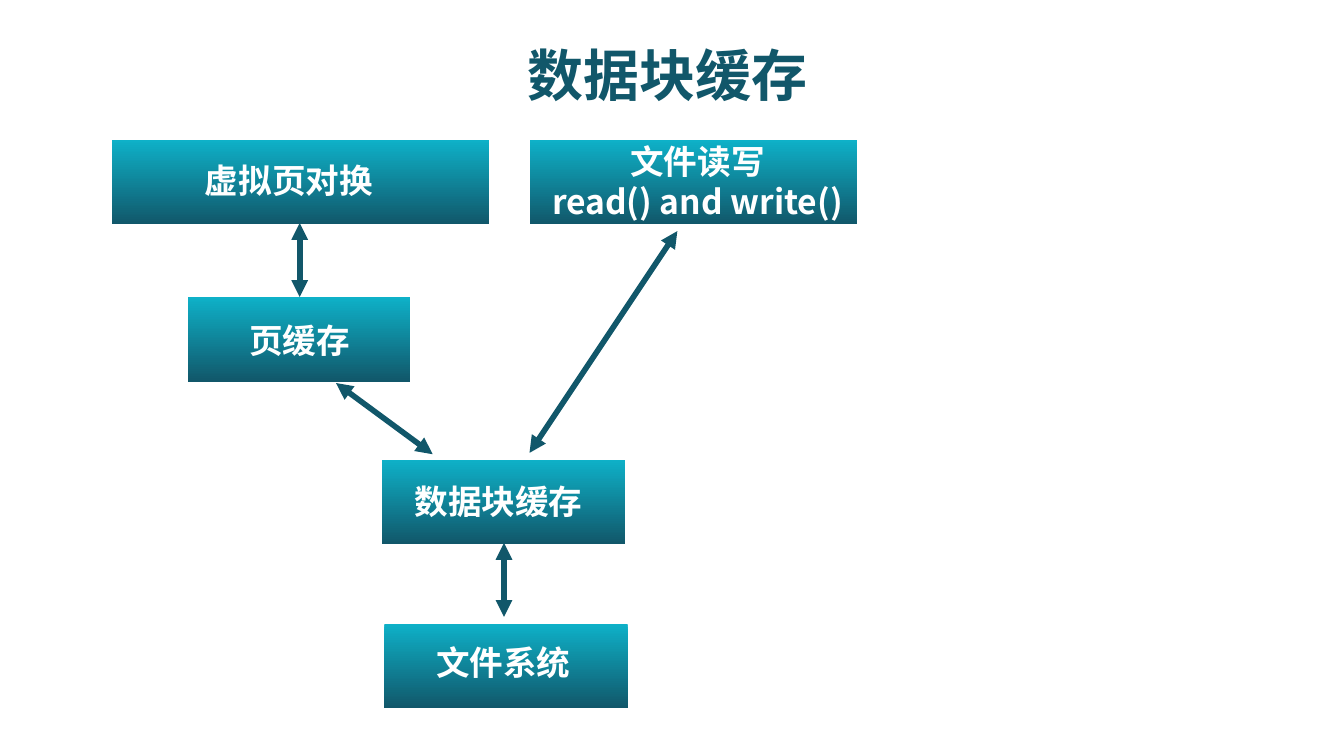
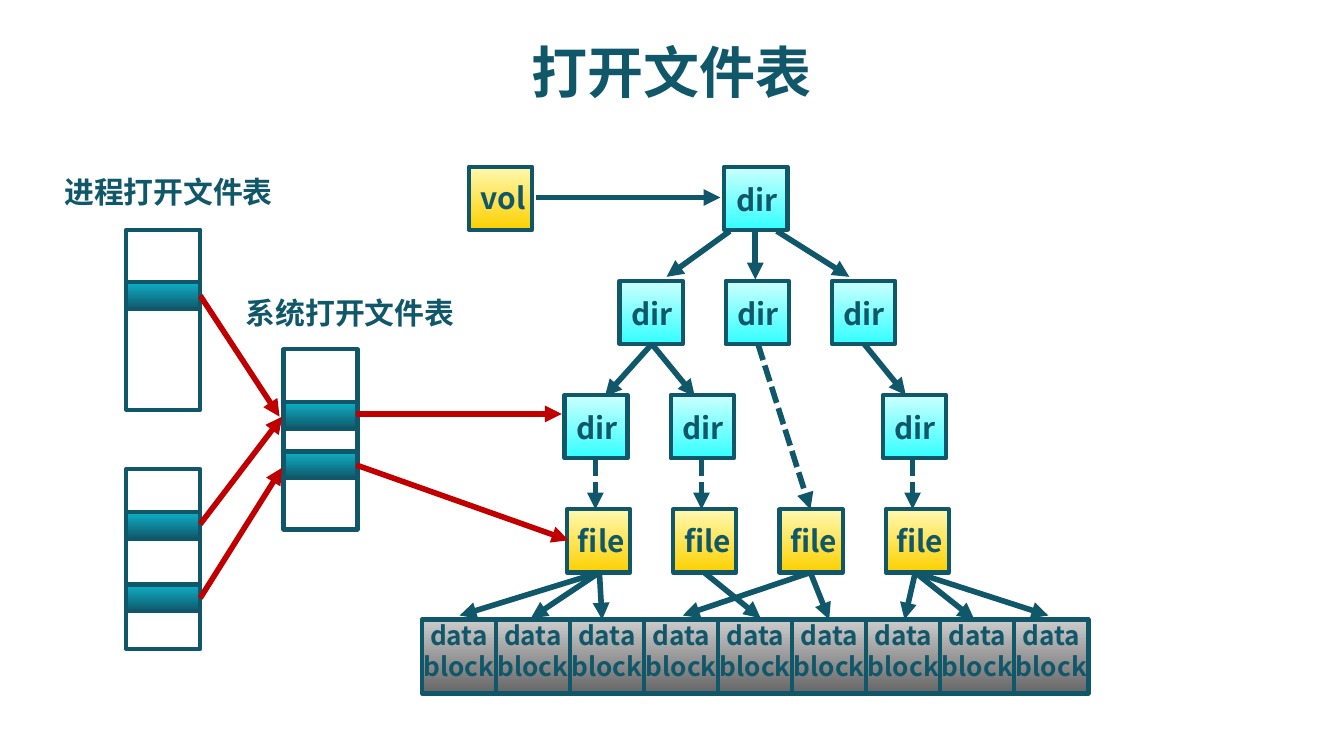
from dataclasses import dataclass
from typing import Any

from lxml import etree
from pptx import Presentation
from pptx import util as u
from pptx.dml.color import RGBColor
from pptx.enum import dml, shapes, text
from pptx.oxml.ns import qn

Point = tuple[float, float]
Gradient = tuple[str, str]


@dataclass(frozen=True)
class Theme:
    font: str = "Noto Sans CJK SC"
    ink: str = "11576A"
    light: str = "FFFFFF"
    accent: str = "C00000"
    teal: Gradient = ("0EB1C8", "11576A")
    yellow: Gradient = ("FFF9B1", "FDD000")
    cyan: Gradient = ("CCFFFF", "33FFFF")
    gray: Gradient = ("CCCCCC", "666666")
    title_size: int = 30
    module_size: int = 18
    label_size: int = 16
    block_size: int = 14
    border: float = 2.25
    arrow: float = 3


@dataclass(frozen=True)
class Box:
    col: float
    row: float
    cols: float
    rows: float

    def inset(self, dx: float, dy: float, cols: float, rows: float) -> "Box":
        return Box(self.col + dx, self.row + dy, cols, rows)


@dataclass(frozen=True)
class Module:
    box: Box
    label: Box
    words: str


@dataclass(frozen=True)
class Kind:
    side: float
    fill: Gradient
    size: int
    label: tuple[float, float, float, float]


@dataclass(frozen=True)
class Fan:
    start: Point
    ends: tuple[Point, ...]
    dashed: bool = False


@dataclass(frozen=True)
class OpenTable:
    col: float
    row: float
    entries: tuple[float, ...]


THEME = Theme()
COLUMNS = 100
CELL = u.Inches(10) // COLUMNS
ROWS = 56.25

DIR = Kind(4.7, THEME.cyan, THEME.label_size, (-0.15, 0.6, 5.1, 3.7))
FILE = Kind(4.7, THEME.yellow, THEME.label_size, (-0.6, 0.5, 6.3, 3.7))
BLOCK = Kind(5.51, THEME.gray, THEME.block_size, (-0.95, -0.5, 7.4, 5.7))

MODULES = (
    Module(Box(8.3, 10.4, 28.1, 6.3), Box(14.2, 11.4, 14.6, 4), "虚拟页对换"),
    Module(Box(39.4, 10.4, 24.4, 6.3), Box(39.7, 10, 24.4, 7.1), "文件读写\nread() and write()"),
    Module(Box(14, 22.1, 16.5, 6.3), Box(17.5, 23.3, 9.6, 4), "页缓存"),
    Module(Box(28.6, 46.4, 18.1, 6.3), Box(31.4, 47.3, 12.1, 4), "文件系统"),
    Module(Box(28.4, 34.2, 18.1, 6.3), Box(29.8, 35.3, 14.6, 4), "数据块缓存"),
)
MODULE_LINKS = (
    Fan((22.3, 16.6), ((22.3, 22.1),)),
    Fan((37.5, 40.4), ((37.5, 45.9),)),
    Fan((25, 28.5), ((32.2, 33.8),)),
    Fan((50.4, 17.2), ((39.4, 33.7),)),
)

TREE_TOP, TREE_PITCH, LEVEL_PITCH = 12.4, 7.9, 8.5
BLOCK_COUNT = 9
TREE_LEVELS = (
    (DIR, "dir", 53.9, (0,)),
    (DIR, "dir", 46.1, (0, 1, 2)),
    (DIR, "dir", 42, (0, 1, 3)),
    (FILE, "file", 42.2, (0, 1, 2, 3)),
)
TREE_LINKS = (
    Fan((39.9, 14.7), ((53.6, 14.7),)),
    Fan((56.2, 17.2), ((56.2, 20.8),)),
    Fan((54.3, 17.2), ((49.6, 20.6),)),
    Fan((57.8, 17.2), ((63.2, 20.6),)),
    Fan((48.5, 25.6), ((45, 29.5), (51.7, 29.5))),
    Fan((44.3, 34.2), ((44.3, 37.9),), True),
    Fan((52.2, 34.2), ((52.2, 37.9),), True),
    Fan((67.9, 34.2), ((67.9, 37.9),), True),
    Fan((64.3, 25.6), ((67.4, 29.4),)),
    Fan((56.4, 25.6), ((60.3, 37.9),), True),
    Fan((44.6, 42.6), ((34.2, 45.8), (39.5, 46), (44.8, 46.1))),
    Fan((52.4, 42.6), ((56.6, 46),)),
    Fan((60.3, 42.6), ((50.8, 45.8), (61.7, 46.1))),
    Fan((68.1, 42.6), ((67.3, 46.1), (72.5, 46.1), (78, 45.8))),
)
OPEN_TABLES = (
    OpenTable(21.1, 26, (29.9, 33.6)),
    OpenTable(9.4, 17.1, (21,)),
    OpenTable(9.4, 34.9, (38.1, 43.5)),
)
TABLE_NAMES = (
    (Box(17.2, 21.4, 17.7, 3.7), "系统打开文件表"),
    (Box(3.7, 12.4, 17.7, 3.7), "进程打开文件表"),
)
ENTRY_LINKS = (
    Fan((26.5, 30.8), ((41.8, 30.8),)),
    Fan((26.5, 34.6), ((42.3, 40.2),)),
    Fan((14.9, 22), ((20.8, 31),)),
    Fan((14.9, 39), ((21, 31),)),
    Fan((14.9, 44.5), ((21, 34.8),)),
)


def apply(target: Any, values: dict[str, Any]) -> None:
    for name, value in values.items():
        setattr(target, name, value)


def cells(*counts: float) -> list[int]:
    return [round(count * CELL) for count in counts]


def add_box(slide: Any, box: Box, fill: Gradient | None = None, border: bool = True) -> None:
    sp = slide.shapes.add_shape(
        shapes.MSO_SHAPE.RECTANGLE, *cells(box.col, box.row, box.cols, box.rows)
    )
    sp.shadow.inherit = False
    if fill:
        sp.fill.gradient()
        sp.fill.gradient_angle = 270
        for stop, color, position in zip(sp.fill.gradient_stops, fill, (0, 1)):
            stop.color.rgb = RGBColor.from_string(color)
            stop.position = position
    else:
        sp.fill.background()
    if border:
        sp.line.color.rgb = RGBColor.from_string(THEME.ink)
        sp.line.width = u.Pt(THEME.border)
    else:
        sp.line.fill.background()


def add_label(slide: Any, box: Box, words: str, size: int, color: str = THEME.ink,
              wrap: bool = False) -> None:
    sp = slide.shapes.add_textbox(*cells(box.col, box.row, box.cols, box.rows))
    tf = sp.text_frame
    apply(tf, {"word_wrap": wrap, "vertical_anchor": text.MSO_ANCHOR.TOP})
    if not wrap:
        tf.auto_size = text.MSO_AUTO_SIZE.SHAPE_TO_FIT_TEXT
    tf.text = words
    for p in tf.paragraphs:
        p.alignment = text.PP_ALIGN.CENTER
        r = p.runs[0]
        apply(r.font, {"name": THEME.font, "size": u.Pt(size), "bold": True})
        r.font.color.rgb = RGBColor.from_string(color)
        etree.SubElement(r.font._element, qn("a:ea"), typeface=THEME.font)


def add_title(slide: Any, col: float, row: float, words: str) -> None:
    add_label(slide, Box(col, row, 90, 5.6), words, THEME.title_size, wrap=True)


def add_fan(slide: Any, fan: Fan, color: str = THEME.ink, both: bool = False) -> None:
    for end in fan.ends:
        cxn = slide.shapes.add_connector(
            shapes.MSO_CONNECTOR.STRAIGHT, *cells(*fan.start, *end)
        )
        cxn.line.color.rgb = RGBColor.from_string(color)
        cxn.line.width = u.Pt(THEME.arrow)
        if fan.dashed:
            cxn.line.dash_style = dml.MSO_LINE.SQUARE_DOT
        ln = cxn.line._get_or_add_ln()
        for tag in ("a:headEnd", "a:tailEnd") if both else ("a:tailEnd",):
            etree.SubElement(ln, qn(tag), type="triangle")
        etree.SubElement(cxn._element.spPr, qn("a:effectLst"))


def add_node(slide: Any, kind: Kind, col: float, row: float, words: str) -> None:
    box = Box(col, row, kind.side, kind.side)
    add_box(slide, box, kind.fill)
    add_label(slide, box.inset(*kind.label), words, kind.size)


def build_block_cache(slide: Any) -> None:
    for module in MODULES:
        add_box(slide, module.box, THEME.teal, border=False)
        add_label(slide, module.label, module.words, THEME.module_size, THEME.light)
    for fan in MODULE_LINKS:
        add_fan(slide, fan, both=True)
    add_title(slide, 4.7, 2.5, "数据块缓存")


def build_open_files(slide: Any) -> None:
    add_title(slide, 5, 2.3, "打开文件表")
    add_node(slide, FILE, 34.9, TREE_TOP, "vol")
    for level, (kind, words, left, slots) in enumerate(TREE_LEVELS):
        for slot in slots:
            add_node(slide, kind, left + slot * TREE_PITCH,
                     TREE_TOP + level * LEVEL_PITCH, words)
    for index in range(BLOCK_COUNT):
        add_node(slide, BLOCK, 31.4 + index * BLOCK.side, 46.1, "data\nblock")
    for fan in TREE_LINKS:
        add_fan(slide, fan)
    for box, words in TABLE_NAMES:
        add_label(slide, box, words, THEME.label_size)
    for table in OPEN_TABLES:
        add_box(slide, Box(table.col, table.row, 5.5, 13.4))
        for row in table.entries:
            add_box(slide, Box(table.col, row, 5.5, 2), THEME.teal)
    for fan in ENTRY_LINKS:
        add_fan(slide, fan, THEME.accent)


def main() -> None:
    prs = Presentation()
    apply(prs, {"slide_width": COLUMNS * CELL, "slide_height": round(ROWS * CELL)})
    for build in (build_block_cache, build_open_files):
        build(prs.slides.add_slide(prs.slide_layouts[6]))
    prs.save("out.pptx")


if __name__ == "__main__":
    main()
